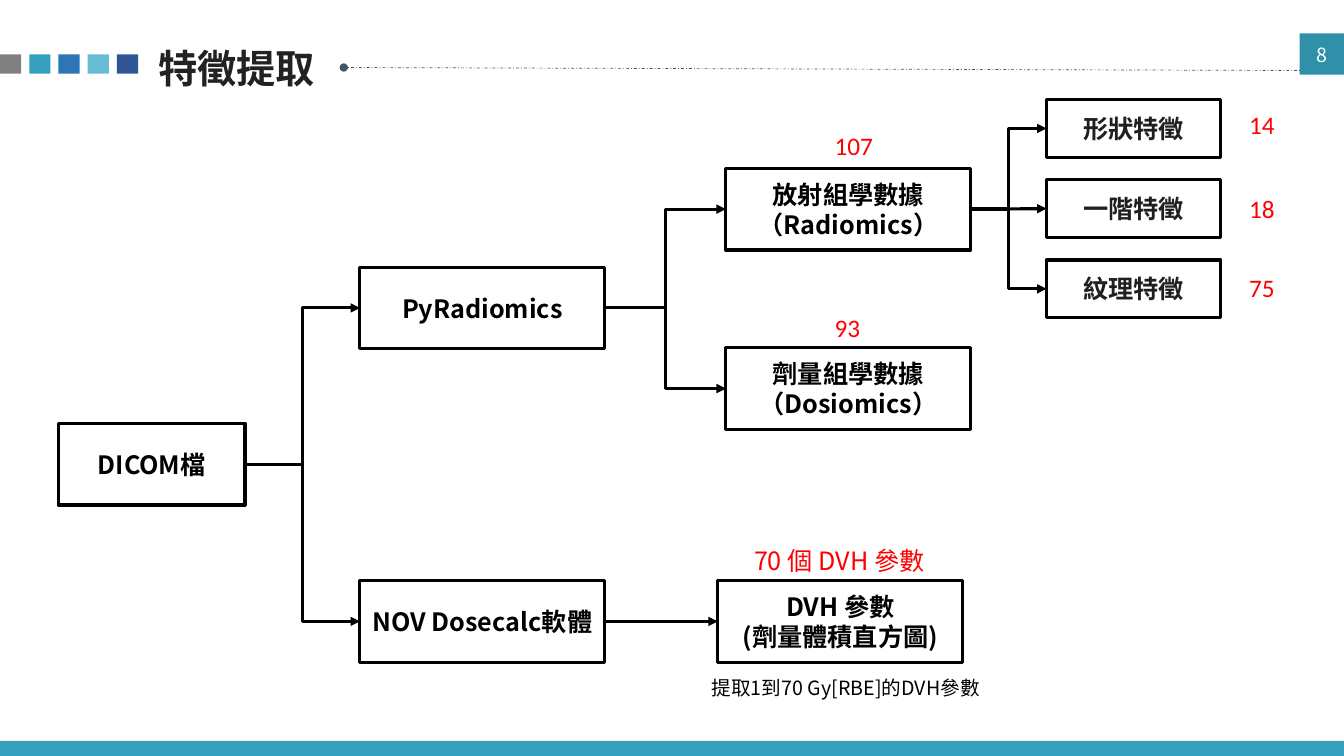
"""Build the feature extraction flow slide."""
from lxml.etree import SubElement
from pptx import Presentation
from pptx.dml.color import RGBColor
from pptx.enum.dml import MSO_LINE
from pptx.enum.shapes import MSO_CONNECTOR as CONNECTOR, MSO_SHAPE as SHAPE
from pptx.enum.text import MSO_ANCHOR as ANCHOR, PP_ALIGN as ALIGN
from pptx.oxml.ns import qn
from pptx.util import Inches, Pt

CJK = "Noto Sans CJK SC"
TITLE = "特徵提取"
SQUARE_COLORS = ["808080", "35A0BD", "2E75B6", "66BCD4", "2F5597"]
SQUARE_STEP = 0.29
BOX_WIDTH, BOX_HEIGHT = 2.43, 0.81
FEATURE_LEFT, FEATURE_TOP, FEATURE_STEP = 10.38, 0.99, 0.795
BOXES = {
    "dicom": (["DICOM檔"], 0.58, 4.2, 1.85),
    "software": (["NOV Dosecalc軟體"], 3.57, 5.76, BOX_WIDTH),
    "pyradiomics": (["PyRadiomics"], 3.57, 2.65, BOX_WIDTH),
    "radiomics": (["放射組學數據（Radiomics）"], 7.2, 1.67, BOX_WIDTH),
    "dosiomics": (["劑量組學數據（Dosiomics）"], 7.2, 3.45, BOX_WIDTH),
    "dvh": (["DVH 參數", "(劑量體積直方圖)"], 7.12, 5.76, BOX_WIDTH),
}
FEATURES = ["形狀特徵", "一階特徵", "紋理特徵"]
ARROWS = [
    ("dicom", "pyradiomics", CONNECTOR.ELBOW),
    ("dicom", "software", CONNECTOR.ELBOW),
    ("pyradiomics", "radiomics", CONNECTOR.ELBOW),
    ("pyradiomics", "dosiomics", CONNECTOR.ELBOW),
    ("software", "dvh", CONNECTOR.STRAIGHT),
    ("radiomics", "形狀特徵", CONNECTOR.ELBOW),
    ("radiomics", "一階特徵", CONNECTOR.STRAIGHT),
    ("radiomics", "紋理特徵", CONNECTOR.ELBOW),
]
LABELS = [
    ("14", 12.29, 1.04, 0.57, 0.4, 18, "FF0000", "Calibri"),
    ("18", 12.29, 1.87, 0.57, 0.4, 18, "FF0000", "Calibri"),
    ("75", 12.29, 2.65, 0.57, 0.4, 18, "FF0000", "Calibri"),
    ("93", 8.18, 3.05, 0.57, 0.4, 18, "FF0000", "Calibri"),
    ("107", 8.18, 1.24, 0.74, 0.4, 18, "FF0000", "Calibri"),
    ("70 個 DVH 參數", 7.38, 5.36, 2.18, 0.4, 18, "FF0000", CJK),
    ("提取1到70 Gy[RBE]的DVH參數", 6.96, 6.66, 3, 0.34, 14, "000000", CJK),
]


def color(value):
    return RGBColor.from_string(value)


def write(shape, lines, size, text_color, font=CJK, bold=False,
          align=ALIGN.LEFT, anchor=ANCHOR.TOP):
    frame = shape.text_frame
    frame.word_wrap = True
    frame.vertical_anchor = anchor
    frame.text = "\n".join(lines)
    for paragraph in frame.paragraphs:
        paragraph.alignment = align
        paragraph.font.size = Pt(size)
        paragraph.font.bold = bold
        paragraph.font.color.rgb = color(text_color)
        paragraph.font.name = font
        defaults = paragraph._p.pPr.find(qn("a:defRPr"))
        SubElement(defaults, qn("a:ea")).set("typeface", font)


def add_rectangle(slide, left, top, width, height, fill=None):
    shape = slide.shapes.add_shape(SHAPE.RECTANGLE, Inches(left), Inches(top),
                                   Inches(width), Inches(height))
    shape.shadow.inherit = False
    if fill:
        shape.fill.solid()
        shape.fill.fore_color.rgb = color(fill)
        shape.line.fill.background()
    else:
        shape.fill.background()
        shape.line.color.rgb = color("000000")
        shape.line.width = Pt(2.25)
    return shape


def add_box(slide, lines, left, top, width, height, text_color):
    box = add_rectangle(slide, left, top, width, height)
    write(box, lines, 18, text_color, bold=True, align=ALIGN.CENTER, anchor=ANCHOR.MIDDLE)
    return box


def add_label(slide, text, left, top, width, height, size, text_color, font=CJK,
              align=ALIGN.LEFT):
    label = slide.shapes.add_textbox(Inches(left), Inches(top), Inches(width), Inches(height))
    write(label, [text], size, text_color, font, align=align)
    return label


def style_line(connector, line_color, width, tail):
    connector.line.color.rgb = color(line_color)
    connector.line.width = Pt(width)
    properties = connector._element.spPr
    SubElement(properties.find(qn("a:ln")), qn("a:tailEnd")).set("type", tail)
    SubElement(properties, qn("a:effectLst"))


def add_header(slide):
    add_rectangle(slide, 0, 7.35, 13.33, 0.15, "35A0BD")
    for index, square_color in enumerate(SQUARE_COLORS):
        add_rectangle(slide, index * SQUARE_STEP, 0.54, 0.21, 0.19, square_color)
    title = slide.shapes.title
    title.left, title.top = Inches(1.47), Inches(0.39)
    title.width, title.height = Inches(1.94), Inches(0.57)
    write(title, [TITLE], 28, "222222", bold=True)
    rule = slide.shapes.add_connector(CONNECTOR.STRAIGHT, Inches(13.02), Inches(0.7),
                                      Inches(3.41), Inches(0.67))
    rule.line.dash_style = MSO_LINE.DASH_DOT
    style_line(rule, "44546A", 0.5, "oval")
    add_rectangle(slide, 12.89, 0.33, 0.45, 0.41, "3090AA")
    number = add_label(slide, "8", 12.89, 0.44, 0.45, 0.27, 14, "FFFFFF", align=ALIGN.CENTER)
    number.text_frame.paragraphs[0].line_spacing = Pt(12)


def add_flow(slide):
    boxes = {name: add_box(slide, lines, left, top, width, BOX_HEIGHT, "000000")
             for name, (lines, left, top, width) in BOXES.items()}
    for index, feature in enumerate(FEATURES):
        boxes[feature] = add_box(slide, [feature], FEATURE_LEFT,
                                 FEATURE_TOP + index * FEATURE_STEP, 1.73, 0.57, "1F1F1F")
    for source, target, kind in ARROWS:
        start, end = boxes[source], boxes[target]
        arrow = slide.shapes.add_connector(
            kind, start.left + start.width, start.top + start.height // 2,
            end.left, end.top + end.height // 2)
        arrow.begin_connect(start, 3)
        arrow.end_connect(end, 1)
        style_line(arrow, "000000", 2.25, "triangle")
    for label in LABELS:
        add_label(slide, *label)


def main():
    presentation = Presentation()
    presentation.slide_width = Inches(13.33)
    presentation.slide_height = Inches(7.5)
    slide = presentation.slides.add_slide(presentation.slide_layouts[5])
    add_header(slide)
    add_flow(slide)
    presentation.save("out.pptx")


if __name__ == "__main__":
    main()
